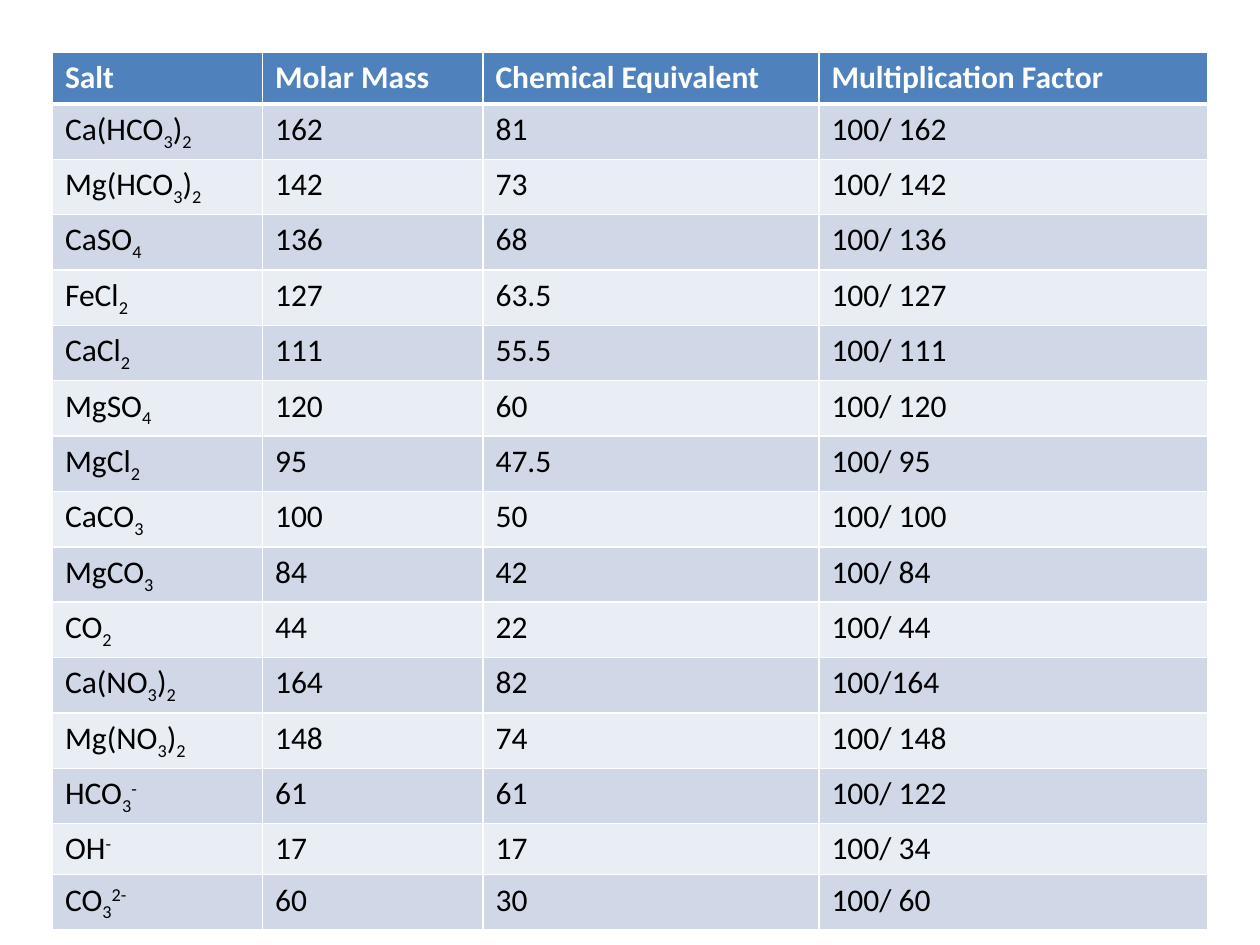
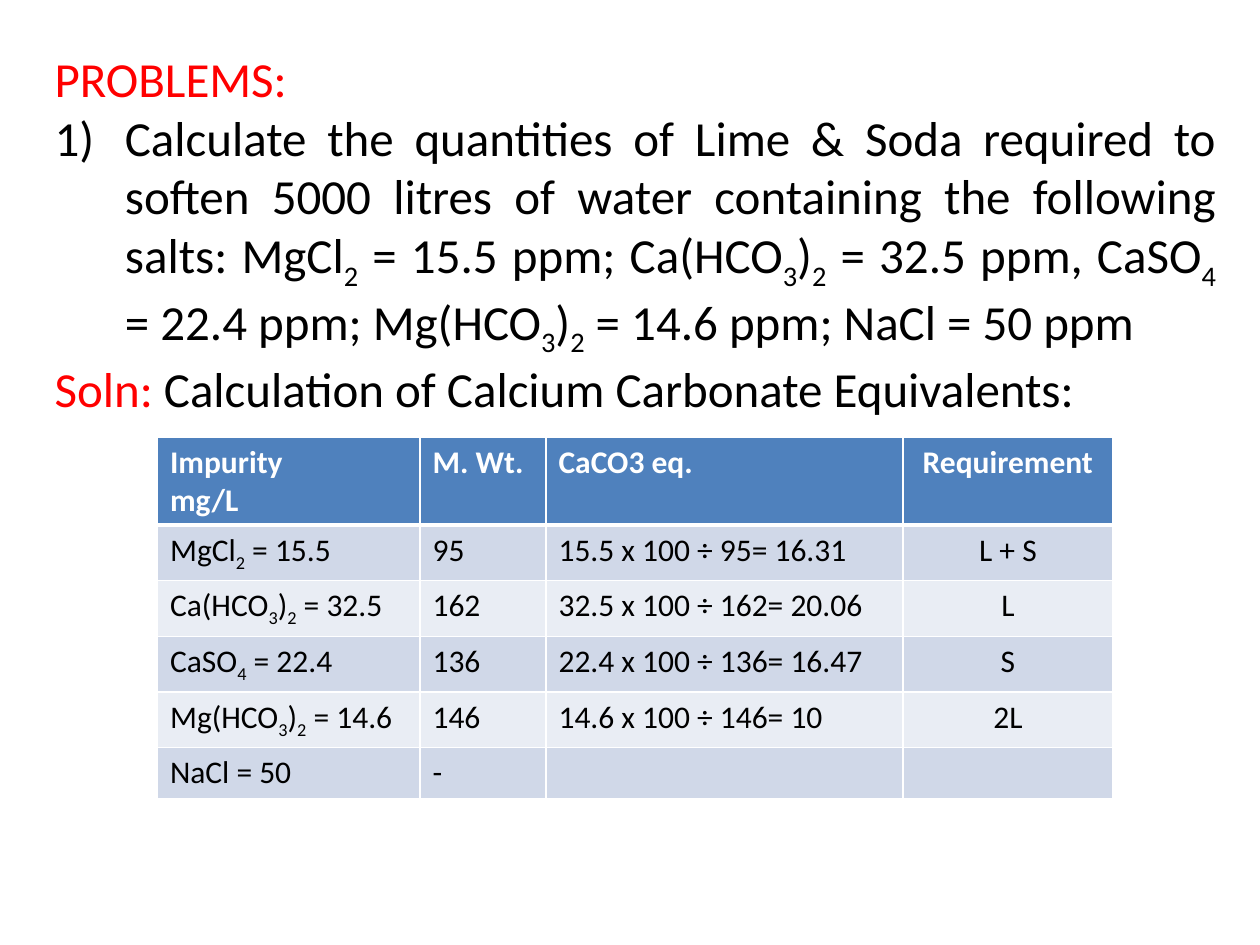
from lxml.etree import SubElement
from pptx import Presentation
from pptx.dml.color import RGBColor
from pptx.enum.text import MSO_AUTO_SIZE as AutoSize, PP_ALIGN as Align
from pptx.oxml.ns import qn
from pptx.util import Pt

PX = 7620  # EMU per px, 120 px to the inch
WHITE = RGBColor(0xFF, 0xFF, 0xFF)
BLACK = RGBColor(0x00, 0x00, 0x00)
RED = RGBColor(0xFF, 0x00, 0x00)
HEADER_BLUE = RGBColor(0x4F, 0x81, 0xBD)
BANDS = (RGBColor(0xD0, 0xD8, 0xE8), RGBColor(0xE9, 0xED, 0xF4))

FONT = "Calibri"
HEADER_TEXT = {"name": FONT, "size": Pt(18), "bold": True}
CELL_TEXT = {"name": FONT, "size": Pt(18), "bold": False}
BODY_TEXT = {"name": FONT, "size": Pt(28), "bold": False}
BODY_PARAGRAPH = {"alignment": Align.JUSTIFY, "space_before": Pt(0), "line_spacing": 1.0}
BASELINES = {"_": "-25000", "^": "30000"}
ROW_HEIGHT = 49


def apply(target, values):
    for name, value in values.items():
        setattr(target, name, value)


class Deck:
    """Holds the style, the presentation and the current slide."""

    def __init__(self, width, height):
        self.prs = Presentation()
        apply(self.prs, {"slide_width": width * PX, "slide_height": height * PX})
        self.slide = None

    def new_slide(self, layout):
        self.slide = self.prs.slides.add_slide(self.prs.slide_layouts[layout])

    def add_runs(self, paragraph, text, style, color):
        """Add runs; "|" parts them, a leading _ lowers and ^ raises one."""
        for part in text.split("|"):
            if not part:
                continue
            run = paragraph.add_run()
            apply(run.font, style)
            run.font.color.rgb = color
            if part[0] in BASELINES:
                run.font._element.set("baseline", BASELINES[part[0]])
                part = part[1:]
            run.text = part

    def body(self, left, top, width, height, paragraphs):
        """Fill the body placeholder with (number indent, [(text, color)])."""
        title = self.slide.shapes.title
        title._element.getparent().remove(title._element)
        body = self.slide.placeholders[1]
        apply(body, {"left": left * PX, "top": top * PX,
                     "width": width * PX, "height": height * PX})
        frame = body.text_frame
        apply(frame, {"word_wrap": True, "auto_size": AutoSize.SHAPE_TO_FIT_TEXT})
        for i, (indent, pieces) in enumerate(paragraphs):
            paragraph = frame.add_paragraph() if i else frame.paragraphs[0]
            apply(paragraph, BODY_PARAGRAPH)
            props = paragraph._p.get_or_add_pPr()
            props.set("marL", str(indent * PX))
            props.set("indent", str(-indent * PX))
            if indent:
                SubElement(props, qn("a:buFont"), typeface="+mj-lt")
                SubElement(props, qn("a:buAutoNum"), type="arabicParenR")
            else:
                SubElement(props, qn("a:buNone"))
            for text, color in pieces:
                self.add_runs(paragraph, text, BODY_TEXT, color)

    def borders(self, cell, bottom):
        props = cell._tc.get_or_add_tcPr()
        for side, points in (("L", 1), ("R", 1), ("T", 1), ("B", bottom)):
            line = SubElement(props, qn(f"a:ln{side}"), w=str(Pt(points)))
            fill = SubElement(line, qn("a:solidFill"))
            SubElement(fill, qn("a:srgbClr"), val=str(WHITE))

    def table(self, left, top, widths, rows, heights=None, centred=()):
        """Draw a header row and banded rows; heights overrides single rows."""
        row_heights = [(heights or {}).get(r, ROW_HEIGHT) for r in range(len(rows))]
        table = self.slide.shapes.add_table(
            len(rows), len(widths), left * PX, top * PX,
            sum(widths) * PX, sum(row_heights) * PX).table
        for column, width in zip(table.columns, widths):
            column.width = width * PX
        for r, (row, height) in enumerate(zip(rows, row_heights)):
            table.rows[r].height = height * PX
            style, color = (CELL_TEXT, BLACK) if r else (HEADER_TEXT, WHITE)
            for c, text in enumerate(row):
                cell = table.cell(r, c)
                self.borders(cell, bottom=1 if r else 3)
                cell.fill.solid()
                cell.fill.fore_color.rgb = BANDS[(r - 1) % 2] if r else HEADER_BLUE
                frame = cell.text_frame
                for i, line in enumerate(text.split("\n")):
                    paragraph = frame.add_paragraph() if i else frame.paragraphs[0]
                    if c in centred:
                        paragraph.alignment = Align.CENTER
                    self.add_runs(paragraph, line, style, color)


SALTS = [
    ("Salt", "Molar Mass", "Chemical Equivalent", "Multiplication Factor"),
    ("Ca(HCO|_3|)|_2", "162", "81", "100/ 162"),
    ("Mg(HCO|_3|)|_2", "142", "73", "100/ 142"),
    ("CaSO|_4", "136", "68", "100/ 136"),
    ("FeCl|_2", "127", "63.5", "100/ 127"),
    ("CaCl|_2", "111", "55.5", "100/ 111"),
    ("MgSO|_4", "120", "60", "100/ 120"),
    ("MgCl|_2", "95", "47.5", "100/ 95"),
    ("CaCO|_3", "100", "50", "100/ 100"),
    ("MgCO|_3", "84", "42", "100/ 84"),
    ("CO|_2", "44", "22", "100/ 44"),
    ("Ca(NO|_3|)|_2", "164", "82", "100/164"),
    ("Mg(NO|_3|)|_2", "148", "74", "100/ 148"),
    ("HCO|_3|^-", "61", "61", "100/ 122"),
    ("OH|^-", "17", "17", "100/ 34"),
    ("CO|_3|^2-", "60", "30", "100/ 60"),
]

QUESTION = (
    "Calculate the quantities of Lime & Soda required to soften 5000 litres of "
    "water containing the following salts: MgCl|_2| = 15.5 ppm; "
    "Ca(HCO|_3|)|_2| = 32.5 ppm, CaSO|_4| = 22.4 ppm; "
    "Mg(HCO|_3|)|_2| = 14.6 ppm; NaCl = 50 ppm"
)
PROBLEM = [
    (0, [("PROBLEMS:", RED)]),
    (67, [(QUESTION, BLACK)]),
    (0, [("Soln: ", RED), ("Calculation of Calcium Carbonate Equivalents:", BLACK)]),
]

IMPURITIES = [
    ("Impurity\nmg/L", "M. Wt.", "CaCO3 eq.", "Requirement"),
    ("MgCl|_2| = 15.5", "95", "15.5 x 100 ÷ 95= 16.31", "L + S"),
    ("Ca(HCO|_3|)|_2| = 32.5", "162", "32.5 x 100 ÷ 162= 20.06", "L"),
    ("CaSO|_4| = 22.4", "136", "22.4 x 100 ÷ 136= 16.47", "S"),
    ("Mg(HCO|_3|)|_2| = 14.6", "146", "14.6 x 100 ÷ 146= 10", "2L"),
    ("NaCl = 50", "-", "", ""),
]


def main():
    deck = Deck(1200, 900)

    # Multiplication factors of the salts
    deck.new_slide(layout=6)
    deck.table(50, 50, (200, 210, 320, 370), SALTS, heights={14: 38})

    # Lime and soda problem with its equivalents
    deck.new_slide(layout=1)
    deck.body(40, 40, 1130, 464, PROBLEM)
    deck.table(150, 416, (250, 120, 340, 200), IMPURITIES, centred=(3,))

    deck.prs.save("out.pptx")


if __name__ == "__main__":
    main()
